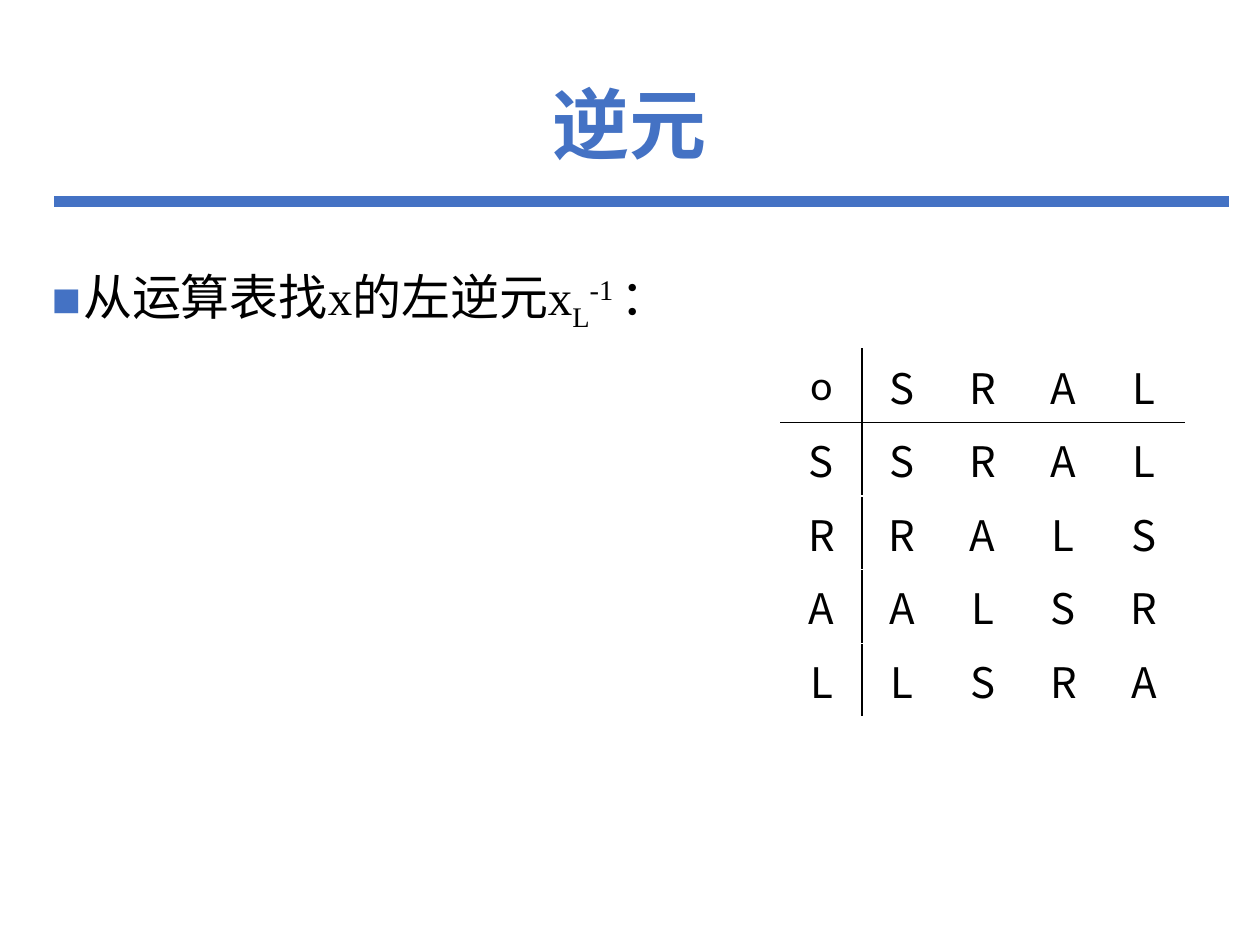
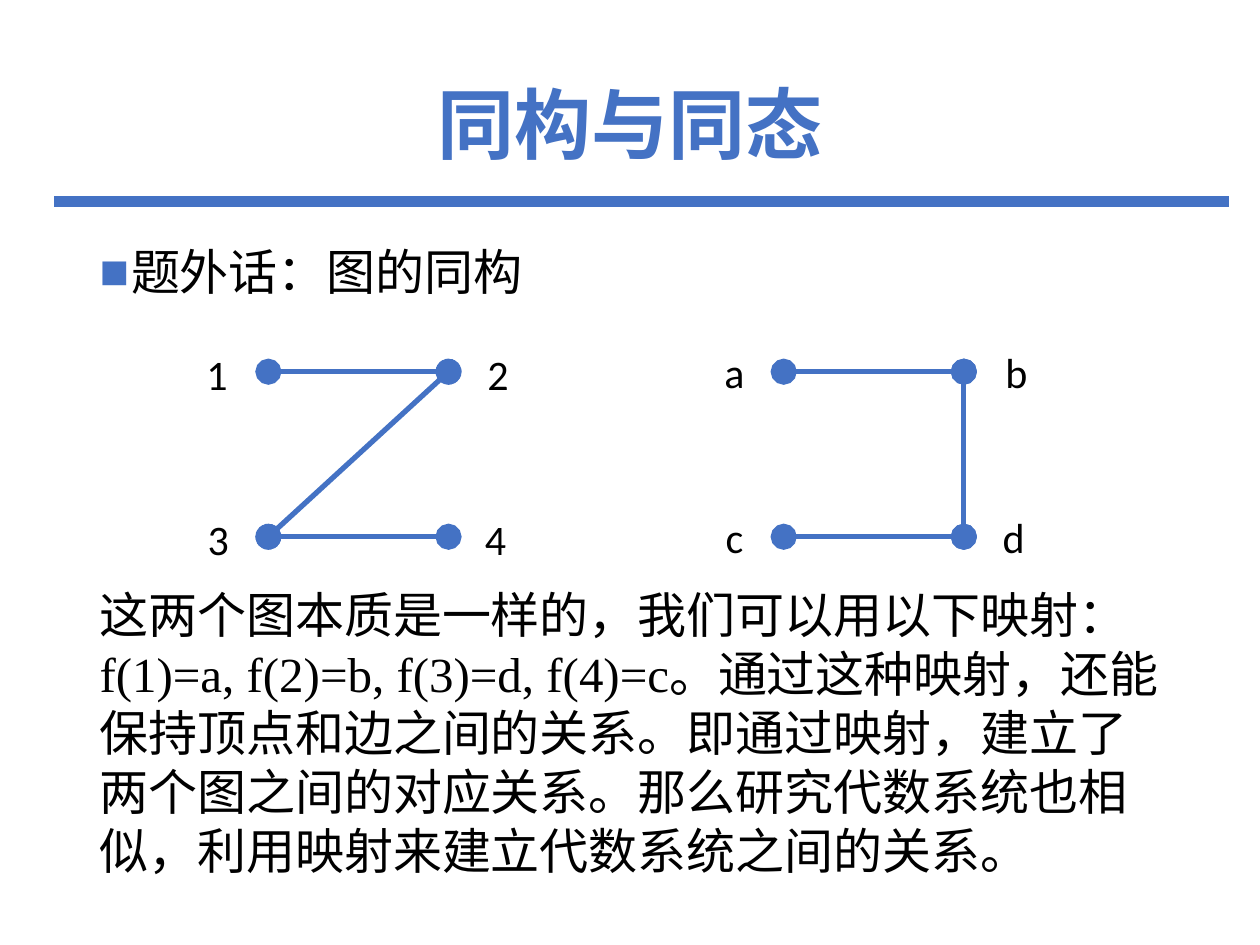
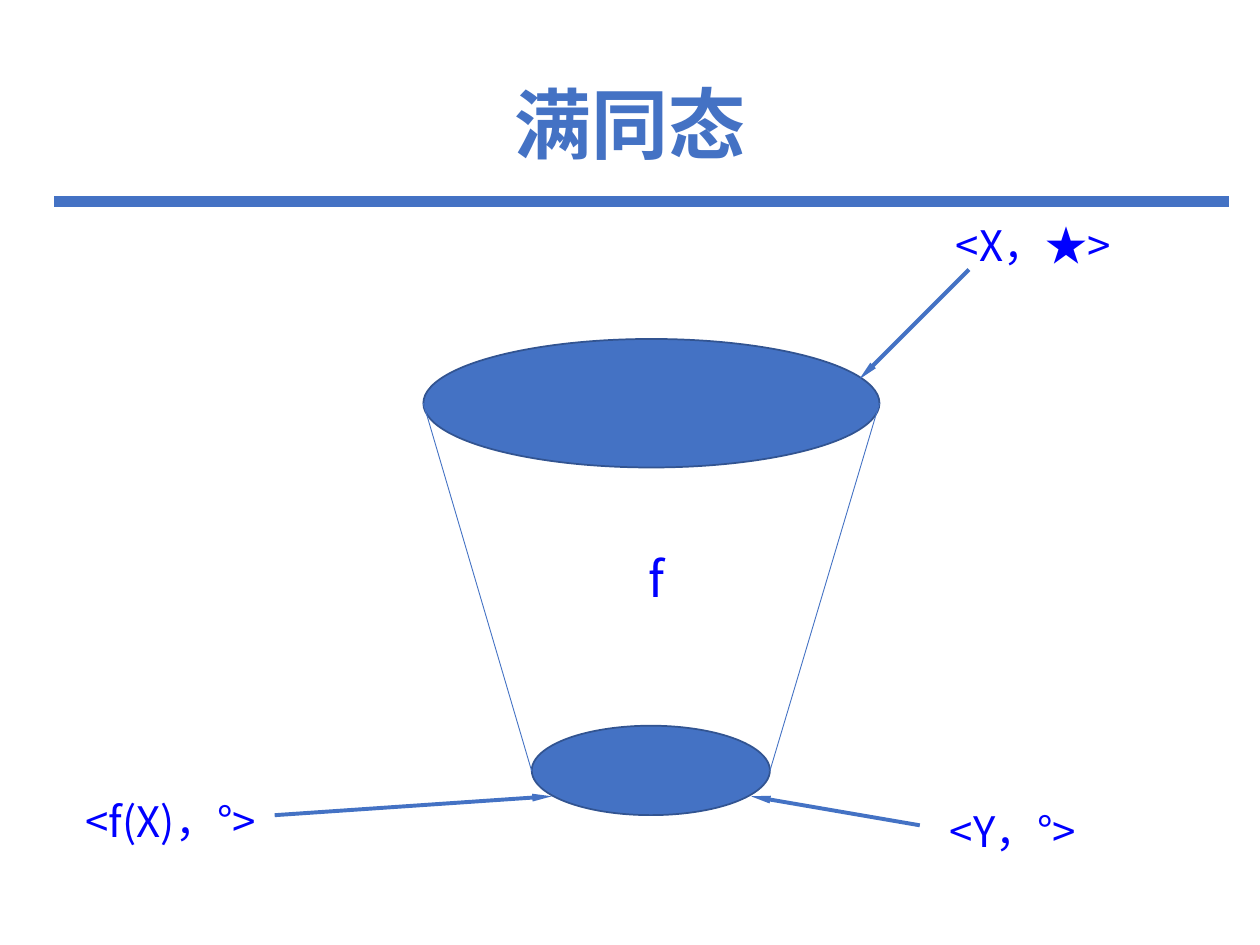
from lxml import etree
from pptx import Presentation
from pptx.dml.color import RGBColor
from pptx.enum.lang import MSO_LANGUAGE_ID
from pptx.enum.shapes import MSO_CONNECTOR, MSO_SHAPE
from pptx.enum.text import MSO_ANCHOR, MSO_AUTO_SIZE, PP_ALIGN
from pptx.oxml.ns import qn
from pptx.util import Inches, Pt

CENTER = PP_ALIGN.CENTER
MIDDLE = MSO_ANCHOR.MIDDLE
CHINESE = MSO_LANGUAGE_ID.SIMPLIFIED_CHINESE
NO_FIT = MSO_AUTO_SIZE.NONE
FIT_SHAPE = MSO_AUTO_SIZE.SHAPE_TO_FIT_TEXT
STRAIGHT = MSO_CONNECTOR.STRAIGHT
OVAL = MSO_SHAPE.OVAL

BLUE, DARK_BLUE, LABEL_BLUE = "4472C4", "325491", "0000FF"
BLACK, WHITE = "000000", "FFFFFF"
SANS, LATIN, SERIF = "Noto Sans CJK SC", "Calibri", "Times New Roman"
rgb = RGBColor.from_string


def write_text(paragraph, text, size=24, font=SANS, color=BLACK, bold=False,
               align=None, baseline=None, spacing=None, before=None, bullet=None):
    """Append a formatted run; paragraph settings are applied when given."""
    if align is not None:
        paragraph.alignment = align
    if spacing is not None:
        paragraph.line_spacing = spacing
    if before is not None:
        paragraph.space_before = Pt(before)
    if bullet is not None:
        properties = paragraph._p.get_or_add_pPr()
        indent = Inches(0.25) if bullet else 0
        properties.set("marL", str(indent))
        properties.set("indent", str(-indent))
        if bullet:
            bullet_color = etree.SubElement(properties, qn("a:buClr"))
            etree.SubElement(bullet_color, qn("a:srgbClr"), val=BLUE)
            etree.SubElement(properties, qn("a:buChar"), char=bullet)
        else:
            etree.SubElement(properties, qn("a:buNone"))
    run = paragraph.add_run()
    run.text = text
    run.font.size = Pt(size)
    run.font.name = font
    run.font.bold = bold
    run.font.color.rgb = rgb(color)
    run.font.language_id = CHINESE
    if baseline is not None:
        run._r.get_or_add_rPr().set("baseline", str(baseline * 1000))


def add_line(slide, start, end, width, head=None, tail=None, end_width="lg"):
    """Draw a straight blue line with optional end marks."""
    connector = slide.shapes.add_connector(
        STRAIGHT, *[Inches(value) for value in (*start, *end)])
    connector.line.color.rgb = rgb(BLUE)
    connector.line.width = Pt(width)
    line_properties = connector.line._get_or_add_ln()
    for tag, mark in (("a:headEnd", head), ("a:tailEnd", tail)):
        if mark:
            etree.SubElement(line_properties, qn(tag), type=mark, w=end_width, len="lg")
    etree.SubElement(connector.element.spPr, qn("a:effectLst"))
    return connector


presentation = Presentation()
presentation.slide_width = Inches(10)
presentation.slide_height = Inches(7.5)
content_layout = presentation.slide_layouts[1]
title_layout = presentation.slide_layouts[5]

# Titles
slides = []
for title_text, layout in (("逆元", content_layout), ("同构与同态", content_layout),
                           ("满同态", title_layout)):
    slide = presentation.slides.add_slide(layout)
    title = slide.shapes.title
    title.left, title.top = Inches(0.69), Inches(0.4)
    title.width, title.height = Inches(8.62), Inches(1.24)
    title.text_frame.auto_size = NO_FIT
    title.text_frame.vertical_anchor = MIDDLE
    write_text(title.text_frame.paragraphs[0], title_text, size=44, color=BLUE,
               bold=True, align=CENTER, spacing=0.9)
    slides.append(slide)
inverse_slide, isomorphism_slide, epimorphism_slide = slides

# Rule under the title, shared through the master
title_rule = add_line(inverse_slide, (0.43, 1.6), (9.75, 1.6), 6)
title_rule.element.xpath(".//p:cNvPr")[0].set("id", "20")
presentation.slide_master.shapes.element.append(title_rule.element)

# Body areas
bodies = []
for slide, (left, top, width, height) in ((inverse_slide, (0.31, 1.8, 5.59, 5.39)),
                                          (isomorphism_slide, (0.69, 1.92, 8.62, 5.49))):
    body = slide.placeholders[1]
    body.left, body.top = Inches(left), Inches(top)
    body.width, body.height = Inches(width), Inches(height)
    body.text_frame.auto_size = NO_FIT
    bodies.append(body.text_frame)
inverse_body, isomorphism_body = bodies

# Slide 1: left inverse
paragraph = inverse_body.paragraphs[0]
write_text(paragraph, "从运算表找x的左逆元x", size=28, font=SERIF,
           spacing=1.5, before=0, bullet="■")
for text, baseline in (("L", -25), ("-1 ", 30), ("：", 0)):
    write_text(paragraph, text, size=28, font=SERIF, baseline=baseline)

# Operation table
operation_rows = ["oSRAL", "SSRAL", "RRALS", "AALSR", "LLSRA"]
frame = inverse_slide.shapes.add_table(5, 5, Inches(6.2), Inches(2.77),
                                       Inches(3.2), Inches(2.8))
table = frame.table
table.first_row = table.horz_banding = False
for row_index, symbols in enumerate(operation_rows):
    table.rows[row_index].height = Inches(0.56)
    table.columns[row_index].width = Inches(0.64)
    for column_index, symbol in enumerate(symbols):
        cell = table.cell(row_index, column_index)
        cell.vertical_anchor = MIDDLE
        write_text(cell.text_frame.paragraphs[0], symbol, align=CENTER,
                   font=LATIN if symbol == "o" else SANS)
        cell_properties = cell._tc.get_or_add_tcPr()
        for tag, shown in (("a:lnL", column_index == 1), ("a:lnR", column_index == 0),
                           ("a:lnT", row_index == 1), ("a:lnB", row_index == 0)):
            if shown:
                border = etree.SubElement(cell_properties, qn(tag), w=str(Pt(1)))
                border_fill = etree.SubElement(border, qn("a:solidFill"))
                etree.SubElement(border_fill, qn("a:srgbClr"), val=BLACK)
        cell.fill.solid()
        cell.fill.fore_color.rgb = rgb(WHITE)

# Slide 2: heading and explanation, with room for the graphs between them
write_text(isomorphism_body.paragraphs[0], "题外话：图的同构", size=28, font=LATIN,
           spacing=0.9, before=0, bullet="■")
explanation = [
    ("这两个图本质是一样的，我们可以用以下映射：", 162),
    ("f(1)=a, f(2)=b, f(3)=d, f(4)=c。通过这种映射，还能保持顶点和边之间的关系。"
     "即通过映射，建立了两个图之间的对应关系。那么研究代数系统也相似，"
     "利用映射来建立代数系统之间的关系。", 0),
]
for text, before in explanation:
    write_text(isomorphism_body.add_paragraph(), text, size=28, font=SERIF,
               spacing=1.0, before=before, bullet="")

# Graph edges
vertices = {}
for names, left in (("1234", 2.13), ("abcd", 6.22)):
    for index, name in enumerate(names):
        vertices[name] = (left + index % 2 * 1.43, 2.95 + index // 2 * 1.31)
for start, end in ("12", "23", "43", "ab", "bd", "dc"):
    add_line(isomorphism_slide, vertices[start], vertices[end], 3,
             head="oval", tail="oval")

# Vertex labels
vertex_labels = [
    ("1", 1.54, 2.72), ("2", 3.77, 2.72), ("3", 1.55, 4.03), ("4", 3.75, 4.03),
    ("a", 5.65, 2.7), ("b", 7.88, 2.7), ("c", 5.66, 4.01), ("d", 7.86, 4.01),
]
for name, left, top in vertex_labels:
    label = isomorphism_slide.shapes.add_textbox(Inches(left), Inches(top),
                                                 Inches(0.42), Inches(0.57))
    label.text_frame.word_wrap = False
    label.text_frame.auto_size = FIT_SHAPE
    write_text(label.text_frame.paragraphs[0], name, font=LATIN)

# Slide 3: domain and image sets
for left, top, width, height in ((3.36, 2.69, 3.62, 1.02), (4.22, 5.76, 1.89, 0.71)):
    ellipse = epimorphism_slide.shapes.add_shape(OVAL, Inches(left), Inches(top),
                                                 Inches(width), Inches(height))
    ellipse.shadow.inherit = False
    ellipse.fill.solid()
    ellipse.fill.fore_color.rgb = rgb(BLUE)
    ellipse.line.color.rgb = rgb(DARK_BLUE)
    ellipse.line.width = Pt(1)

# Sides of the mapping
for start, end in (((3.36, 3.2), (4.22, 6.12)), ((6.98, 3.2), (6.11, 6.12))):
    add_line(epimorphism_slide, start, end, 0.5)

# Set labels
set_labels = [
    ("<f(X)，°>", 24, 0.29, 6.24, 2.13, 0.55),
    ("<X，★>", 24, 6.9, 1.67, 2.6, 0.55),
    ("<Y，°>", 24, 6.98, 6.32, 2.12, 0.55),
    ("f", 28, 4.54, 4.35, 1.34, 0.47),
]
for text, size, left, top, width, height in set_labels:
    label = epimorphism_slide.shapes.add_textbox(Inches(left), Inches(top),
                                                 Inches(width), Inches(height))
    label.text_frame.word_wrap = True
    label.text_frame.vertical_anchor = MIDDLE
    write_text(label.text_frame.paragraphs[0], text, size=size, color=LABEL_BLUE,
               align=CENTER)

# Arrows from labels to sets
for start, end in (((7.69, 2.14), (6.82, 3.01)), ((2.18, 6.47), (4.38, 6.32)),
                   ((7.3, 6.55), (5.96, 6.32))):
    add_line(epimorphism_slide, start, end, 2.25, tail="triangle", end_width="sm")

presentation.save("out.pptx")
